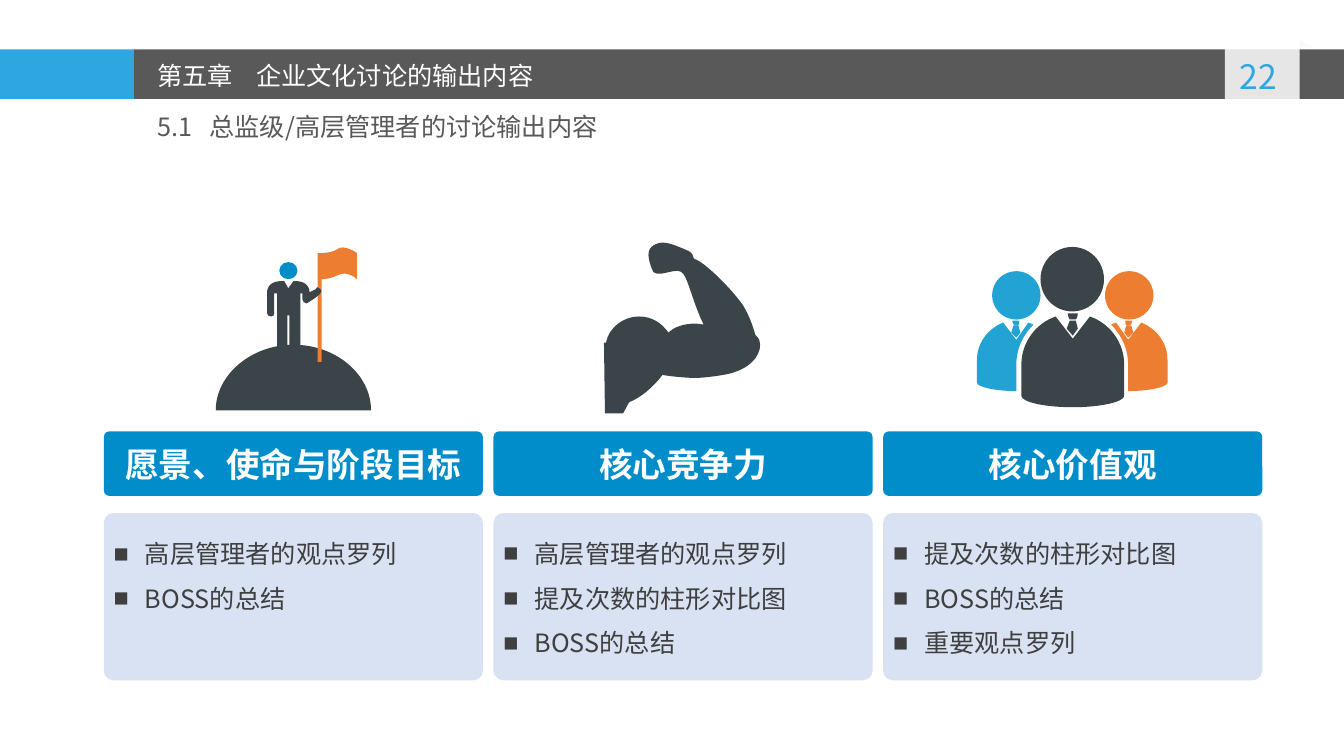
from typing import NamedTuple

from lxml import etree
from pptx import Presentation
from pptx.dml.color import RGBColor
from pptx.enum.shapes import MSO_SHAPE as SHAPE
from pptx.enum.text import MSO_ANCHOR as ANCHOR, MSO_AUTO_SIZE as AUTO, PP_ALIGN as ALIGN
from pptx.oxml.ns import qn
from pptx.util import Inches, Pt

COLORS = {
    "sky": "2EA7E0", "bar": "595959", "white": "FFFFFF", "fold": "F8F8F8",
    "dark": "3B4449", "orange": "ED7D31", "blue": "008DCA", "cyan": "23A3D4",
    "panel": "D8E2F3", "text": "3F3F3F",
}
FONT = "Noto Sans CJK SC"

# An outline lists its start, then lines (x, y) and Bezier curves (x1, y1, x2, y2, x, y).
Outline = list[tuple[float, ...]]


class Box(NamedTuple):
    """Position and size in inches."""
    left: float
    top: float
    width: float
    height: float


class Card(NamedTuple):
    """One column: heading and bullet points."""
    heading: str
    points: list[str]


CARDS = [
    Card("愿景、使命与阶段目标", ["高层管理者的观点罗列", "BOSS的总结"]),
    Card("核心竞争力", ["高层管理者的观点罗列", "提及次数的柱形对比图", "BOSS的总结"]),
    Card("核心价值观", ["提及次数的柱形对比图", "BOSS的总结", "重要观点罗列"]),
]
CARD_LEFT, CARD_RIGHT, CARD_WIDTH = 1.03, 12.52, 3.76
CARD_PITCH = (CARD_RIGHT - CARD_WIDTH - CARD_LEFT) / (len(CARDS) - 1)

PAGE_TAB: Outline = [(12.15, 1.09), (12.15, 0.4), (12.89, 0.4), (12.89, 1.09), (12.51, 1.03)]
ARM: Outline = [
    (7.53, 3.37), (7.52, 3.35, 7.51, 3.34, 7.49, 3.32), (7.47, 3.24, 7.43, 3.13, 7.37, 3.03),
    (7.26, 2.87, 6.99, 2.6, 6.89, 2.57), (6.89, 2.56, 6.89, 2.56, 6.88, 2.56),
    (6.88, 2.53, 6.86, 2.51, 6.83, 2.49), (6.71, 2.44, 6.59, 2.38, 6.51, 2.42),
    (6.44, 2.45, 6.39, 2.5, 6.48, 2.7), (6.56, 2.76, 6.72, 2.63, 6.78, 2.72),
    (6.83, 2.79, 6.89, 3.05, 6.98, 3.22), (6.95, 3.22, 6.93, 3.21, 6.9, 3.21),
    (6.79, 3.21, 6.69, 3.24, 6.63, 3.3), (6.56, 3.2, 6.46, 3.14, 6.34, 3.14),
    (6.18, 3.14, 6.04, 3.25, 6.01, 3.4), (5.99, 3.4), (6, 4.1), (6.18, 4.1), (6.24, 3.99),
    (6.35, 3.95, 6.48, 3.84, 6.57, 3.72), (6.69, 3.74, 6.84, 3.75, 6.9, 3.75),
    (6.97, 3.75, 7.23, 3.72, 7.29, 3.69), (7.47, 3.63, 7.57, 3.49, 7.53, 3.37),
]
HILL: Outline = [(2.91, 3.42), (2.49, 3.42, 2.14, 3.72, 2.14, 4.07), (3.68, 4.07),
                 (3.68, 3.72, 3.34, 3.42, 2.91, 3.42)]
FLAG: Outline = [
    (3.35, 2.47), (3.28, 2.52, 3.15, 2.51, 3.15, 2.51), (3.15, 3.59), (3.19, 3.59),
    (3.19, 2.77), (3.23, 2.77, 3.29, 2.76, 3.35, 2.73), (3.45, 2.68, 3.54, 2.77, 3.54, 2.77),
    (3.54, 2.51), (3.54, 2.51, 3.41, 2.42, 3.35, 2.47),
]
CLIMBER: Outline = [
    (3.18, 2.87), (3.17, 2.86, 3.17, 2.86, 3.15, 2.85), (3.14, 2.85, 3.14, 2.86, 3.13, 2.87),
    (3.07, 2.9), (3.07, 2.89), (3.06, 2.79, 2.95, 2.79, 2.95, 2.79), (2.91, 2.79),
    (2.86, 2.86), (2.82, 2.79), (2.77, 2.79), (2.65, 2.8, 2.65, 2.89, 2.65, 2.89),
    (2.65, 3.11), (2.65, 3.13, 2.67, 3.14, 2.69, 3.14), (2.71, 3.14, 2.72, 3.13, 2.72, 3.11),
    (2.72, 2.91), (2.75, 2.91), (2.75, 3.54), (2.75, 3.57, 2.77, 3.59, 2.8, 3.59),
    (2.83, 3.59, 2.85, 3.57, 2.85, 3.54), (2.85, 3.13), (2.87, 3.13), (2.87, 3.54),
    (2.87, 3.57, 2.9, 3.59, 2.92, 3.59), (2.95, 3.59, 2.98, 3.57, 2.98, 3.54),
    (2.98, 2.91), (3, 2.91), (3, 2.97), (3, 2.99, 3.02, 3.01, 3.04, 3.01),
    (3.04, 3.01, 3.05, 3.01, 3.06, 3), (3.12, 2.96), (3.17, 2.92),
    (3.19, 2.91, 3.19, 2.88, 3.18, 2.87),
]
LEADER: list[Outline] = [
    [(10.81, 3.14), (10.64, 3.36), (10.47, 3.14), (10.27, 3.21, 10.13, 3.4, 10.13, 3.62),
     (10.13, 3.93), (10.14, 3.99, 10.36, 4.04, 10.64, 4.04),
     (10.91, 4.04, 11.14, 3.99, 11.15, 3.93), (11.15, 3.62),
     (11.15, 3.4, 11.01, 3.21, 10.81, 3.14)],
    [(10.69, 3.11), (10.59, 3.11), (10.59, 3.11, 10.59, 3.14, 10.61, 3.17), (10.67, 3.17),
     (10.67, 3.17, 10.69, 3.15, 10.69, 3.11)],
    [(10.61, 3.18), (10.67, 3.18), (10.69, 3.26), (10.64, 3.33), (10.58, 3.26)],
]
COLLEAGUE: list[Outline] = [
    [(10.2, 3.2), (10.08, 3.37), (9.95, 3.2), (9.8, 3.26, 9.69, 3.4, 9.69, 3.57),
     (9.69, 3.8), (9.7, 3.84, 9.87, 3.88, 10.08, 3.88), (10.08, 3.62),
     (10.08, 3.47, 10.14, 3.33, 10.25, 3.22), (10.23, 3.21, 10.22, 3.21, 10.2, 3.2)],
    [(10.1, 3.23), (10.1, 3.23, 10.11, 3.21, 10.11, 3.18), (10.04, 3.18),
     (10.04, 3.18, 10.04, 3.21, 10.06, 3.23)],
    [(10.08, 3.35), (10.12, 3.3), (10.1, 3.23), (10.05, 3.23), (10.03, 3.3)],
]
MIRROR_SUM = 21.27  # twice the x of the team's middle


def mirror(outline: Outline) -> Outline:
    """Reflect an outline about the middle of the team."""
    return [tuple(MIRROR_SUM - v if i % 2 == 0 else v for i, v in enumerate(seg))
            for seg in outline]


def paint(sp, color: str, opacity: int = 100) -> None:
    """Give a shape a plain fill without line or shadow."""
    sp.shadow.inherit = False
    sp.line.fill.background()
    sp.fill.solid()
    sp.fill.fore_color.rgb = RGBColor.from_string(COLORS[color])
    if opacity < 100:
        clr = sp.fill._xPr.find(".//" + qn("a:srgbClr"))
        etree.SubElement(clr, qn("a:alpha")).set("val", str(opacity * 1000))


def add_preset(shapes, kind: SHAPE, box: Box, color: str, opacity: int = 100, corner: float = 0):
    """Add a filled preset shape."""
    sp = shapes.add_shape(kind, *map(Inches, box))
    if corner:
        sp.adjustments[0] = corner
    paint(sp, color, opacity)
    return sp


def add_outline(shapes, outline: Outline, color: str, opacity: int = 100) -> None:
    """Add a filled freeform, joining each three curve points into a Bezier."""
    pts = [(Inches(seg[i]), Inches(seg[i + 1])) for seg in outline for i in range(0, len(seg), 2)]
    builder = shapes.build_freeform(*pts[0], scale=1.0)
    builder.add_line_segments(pts[1:], close=True)
    sp = builder.convert_to_shape()
    lines = iter(sp._element.findall(".//" + qn("a:lnTo")))
    for seg in outline[1:]:
        first = next(lines)
        if len(seg) == 6:
            first.tag = qn("a:cubicBezTo")
            for line in (next(lines), next(lines)):
                first.append(line[0])
                line.getparent().remove(line)
    paint(sp, color, opacity)


def style(p, size: int, color: str, align: ALIGN = ALIGN.LEFT, bold: bool = False) -> None:
    """Format a paragraph and its runs."""
    p.alignment = align
    for r in p.runs:
        r.font.size, r.font.bold, r.font.name = Pt(size), bold, FONT
        r.font.color.rgb = RGBColor.from_string(COLORS[color])
        etree.SubElement(r._r.get_or_add_rPr(), qn("a:ea")).set("typeface", FONT)


def add_tab(p, position: float) -> None:
    """Set a left tab stop."""
    tabs = etree.SubElement(p._p.get_or_add_pPr(), qn("a:tabLst"))
    etree.SubElement(tabs, qn("a:tab"), pos=str(Inches(position)), algn="l")


def add_text(shapes, box: Box, lines: list[str]):
    """Add a wrapping text box and return its text frame."""
    tf = shapes.add_textbox(*map(Inches, box)).text_frame
    tf.word_wrap = True
    tf.auto_size = AUTO.SHAPE_TO_FIT_TEXT
    tf.text = "\n".join(lines)
    return tf


def add_card(shapes, left: float, card: Card) -> None:
    """Draw one column: heading bar, panel and bullets."""
    sp = add_preset(shapes, SHAPE.ROUNDED_RECTANGLE, Box(left, 4.28, CARD_WIDTH, 0.64),
                    "blue", corner=0.087)
    sp.text_frame.text = card.heading
    sp.text_frame.vertical_anchor = ANCHOR.MIDDLE
    style(sp.text_frame.paragraphs[0], 24, "white", ALIGN.CENTER, bold=True)
    add_preset(shapes, SHAPE.ROUNDED_RECTANGLE, Box(left, 5.09, CARD_WIDTH, 1.66),
               "panel", corner=0.058)
    height = 0.01 + 0.45 * len(card.points)
    for p in add_text(shapes, Box(left, 5.23, CARD_WIDTH, height), card.points).paragraphs:
        style(p, 18, "text")
        p.line_spacing, p.space_before = 1.2, Pt(6)
        pPr = p._p.get_or_add_pPr()
        pPr.set("marL", str(Inches(0.31)))
        pPr.set("indent", str(-Inches(0.31)))
        etree.SubElement(pPr, qn("a:buFont")).set("typeface", "Arial")
        etree.SubElement(pPr, qn("a:buChar")).set("char", "■")


def add_header(slide) -> None:
    """Draw the header bar, page number, title and subtitle."""
    shapes = slide.shapes
    add_preset(shapes, SHAPE.RECTANGLE, Box(0, 0.49, 1.33, 0.49), "sky")
    add_preset(shapes, SHAPE.RECTANGLE, Box(1.33, 0.49, 12, 0.49), "bar")
    add_preset(shapes, SHAPE.RIGHT_TRIANGLE, Box(12.89, 0.39, 0.12, 0.08), "fold", 83)
    add_outline(shapes, PAGE_TAB, "white", 85)
    page = add_text(shapes, Box(12.11, 0.51, 0.74, 0.5), ["22"])
    style(page.paragraphs[0], 24, "sky", ALIGN.CENTER)

    title = shapes.title
    shapes._spTree.append(title._element)  # bring the title in front of the bar
    title.left, title.top, title.width, title.height = map(Inches, (1.46, 0.55, 5.04, 0.4))
    tf = title.text_frame
    tf.text = "第五章\t企业文化讨论的输出内容"
    tf.vertical_anchor, tf.word_wrap, tf.auto_size = ANCHOR.TOP, True, AUTO.NONE
    p = tf.paragraphs[0]
    style(p, 18, "white")
    add_tab(p, 0.98)
    p = add_text(shapes, Box(1.46, 1.06, 5.31, 0.4), ["5.1\t总监级/高层管理者的讨论输出内容"]).paragraphs[0]
    style(p, 18, "bar")
    add_tab(p, 0.52)


def add_icons(shapes) -> None:
    """Draw the summit, arm and team icons."""
    add_outline(shapes, ARM, "dark")
    summit = shapes.add_group_shape().shapes
    for outline, color in ((HILL, "dark"), (FLAG, "orange"), (CLIMBER, "dark")):
        add_outline(summit, outline, color)
    add_preset(summit, SHAPE.OVAL, Box(2.77, 2.6, 0.18, 0.17), "blue")
    team = shapes.add_group_shape().shapes
    members = (
        (LEADER, Box(10.32, 2.45, 0.63, 0.64), "dark"),
        (COLLEAGUE, Box(9.84, 2.69, 0.48, 0.48), "cyan"),
        ([mirror(o) for o in COLLEAGUE], Box(10.96, 2.69, 0.48, 0.48), "orange"),
    )
    for outlines, head, color in members:
        add_preset(team, SHAPE.OVAL, head, color)
        for outline in outlines:
            add_outline(team, outline, color)


prs = Presentation()
prs.slide_width, prs.slide_height = Inches(13.33), Inches(7.5)
s = prs.slides.add_slide(prs.slide_layouts[5])
add_header(s)
add_icons(s.shapes)
for number, column in enumerate(CARDS):
    add_card(s.shapes, CARD_LEFT + number * CARD_PITCH, column)
prs.save("out.pptx")
